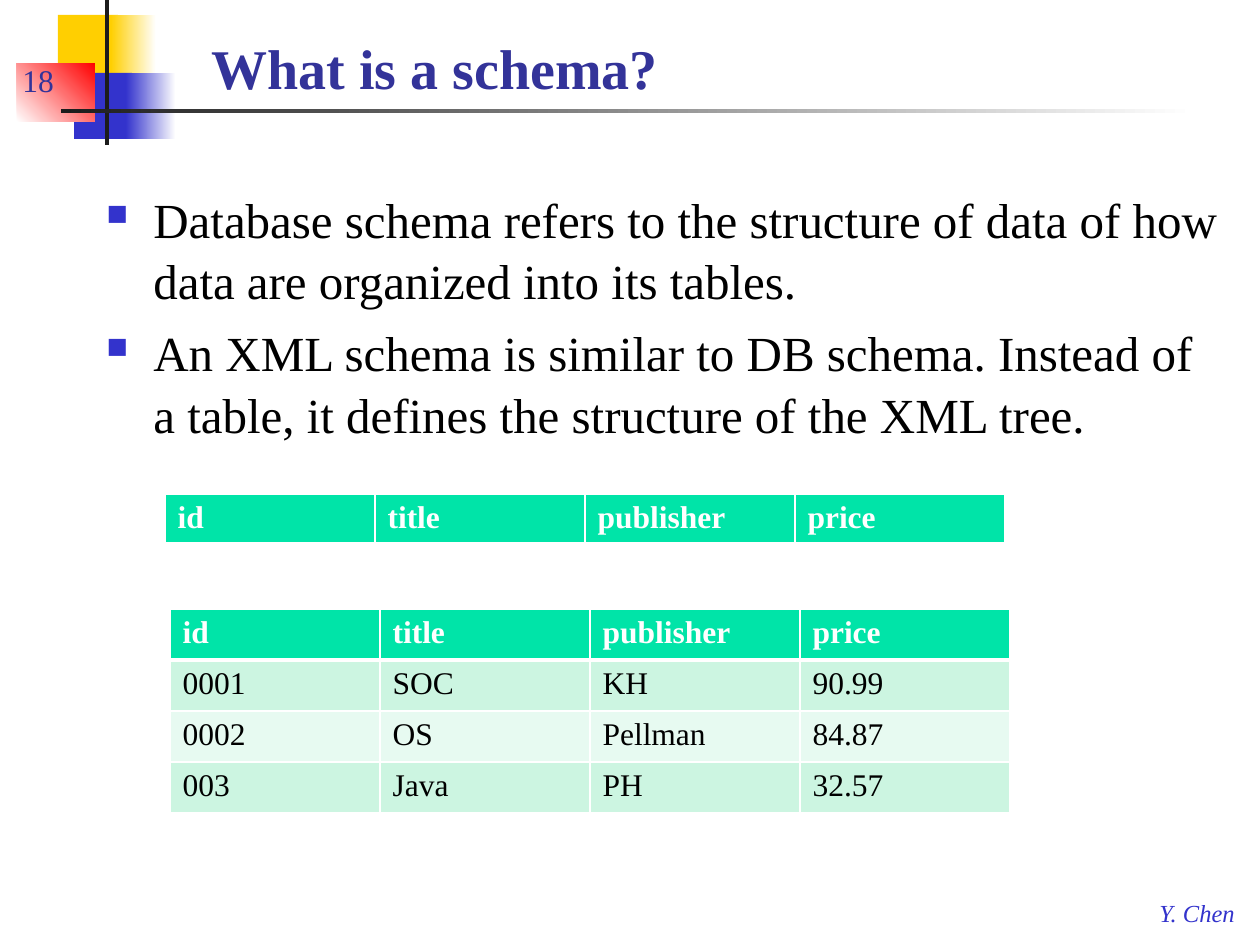
from lxml import etree
from pptx import Presentation
from pptx import util as u
from pptx.dml.color import RGBColor
from pptx.enum import shapes, text
from pptx.oxml import ns

PX = 914400 / 126
FONT = "Times New Roman"
WHITE = RGBColor(0xFF, 0xFF, 0xFF)
BLACK = RGBColor(0x00, 0x00, 0x00)
GOLD = RGBColor(0xFF, 0xCF, 0x01)
BLUE = RGBColor(0x33, 0x33, 0xCC)
NAVY = RGBColor(0x33, 0x33, 0x99)
RED = RGBColor(0xFF, 0x00, 0x00)
DARK = RGBColor(0x1C, 0x1C, 0x1C)
GREEN = RGBColor(0x00, 0xE4, 0xA8)
MINT = RGBColor(0xCC, 0xF5, 0xE1)
PALE = RGBColor(0xE7, 0xFA, 0xF1)

BLOCKS = [
    ((58, 15, 60, 66), [GOLD], 0),
    ((111, 15, 45, 66), [GOLD, WHITE], 0),
    ((74, 73, 58, 66), [BLUE], 0),
    ((126, 73, 50, 66), [BLUE, WHITE], 0),
    ((17, 63, 78, 59), [WHITE, RED], 45),
    ((105, 0, 4, 145), [DARK], 0),
    ((61, 109, 1134, 4), [DARK, WHITE], 0),
]
POINTS = [
    "Database schema refers to the structure of data of how data are organized into its tables.",
    "An XML schema is similar to DB schema. Instead of a table, it defines the structure of the XML tree.",
]
HEAD = ["id", "title", "publisher", "price"]
BOOKS = [
    ["0001", "SOC", "KH", "90.99"],
    ["0002", "OS", "Pellman", "84.87"],
    ["003", "Java", "PH", "32.57"],
]


def px(*nums):
    """Turn pixel lengths into EMU."""
    return [u.Emu(round(n * PX)) for n in nums]


def style(para, color, **form):
    """Set the font of a paragraph."""
    for key, val in {"name": FONT, **form}.items():
        setattr(para.font, key, val)
    para.font.color.rgb = color


def add_block(slide, box, hues, angle):
    """Draw a rectangle in one colour or a two-colour gradient."""
    rect = slide.shapes.add_shape(shapes.MSO_SHAPE.RECTANGLE, *px(*box))
    rect.shadow.inherit = False
    rect.line.fill.background()
    if len(hues) == 1:
        rect.fill.solid()
        rect.fill.fore_color.rgb = hues[0]
        return
    rect.fill.gradient()
    rect.fill.gradient_angle = angle
    for stop, hue in zip(rect.fill.gradient_stops, hues):
        stop.color.rgb = hue


def add_text(slide, box, lines, color, anchor="TOP", wrap=True, **form):
    """Place a text box and return its paragraphs."""
    frame = slide.shapes.add_textbox(*px(*box)).text_frame
    frame.word_wrap = wrap
    frame.vertical_anchor = getattr(text.MSO_ANCHOR, anchor)
    frame.text = "\n".join(lines)
    for para in frame.paragraphs:
        style(para, color, **form)
    return frame.paragraphs


def add_list(slide, box, lines):
    """Place a list with square bullets."""
    for i, para in enumerate(add_text(slide, box, lines, BLACK)):
        props = para._p.get_or_add_pPr()
        props.remove(props.find(ns.qn("a:defRPr"))) if props.find(ns.qn("a:defRPr")) is not None else None
        props.set("marL", str(px(47)[0]))
        props.set("indent", str(px(-47)[0]))
        hue = etree.SubElement(props, ns.qn("a:buClr"))
        etree.SubElement(hue, ns.qn("a:srgbClr"), val=str(BLUE))
        etree.SubElement(props, ns.qn("a:buSzPct"), val="60000")
        etree.SubElement(props, ns.qn("a:buChar"), char="■")
        para.line_spacing = 1.05
        if i:
            para.space_before = u.Pt(5.6)
        style(para, BLACK, size=u.Pt(28))


def add_edge(cell, side, width):
    """Draw one white border of a cell."""
    line = etree.SubElement(cell._tc.get_or_add_tcPr(), ns.qn(f"a:ln{side}"), w=str(u.Pt(width)))
    fill = etree.SubElement(line, ns.qn("a:solidFill"))
    etree.SubElement(fill, ns.qn("a:srgbClr"), val=str(WHITE))


def add_grid(slide, box, rows):
    """Draw a table with a green head and banded rows."""
    table = slide.shapes.add_table(len(rows), len(rows[0]), *px(*box)).table
    table.first_row = table.horz_banding = False
    for r, row in enumerate(rows):
        for c, word in enumerate(row):
            cell = table.cell(r, c)
            edges = {"L": 1, "R": 1, "T": 3 if r == 1 else 1, "B": 1 if r else 3}
            for side, width in edges.items():
                add_edge(cell, side, width)
            cell.fill.solid()
            cell.fill.fore_color.rgb = (MINT if r % 2 else PALE) if r else GREEN
            cell.text = word
            style(cell.text_frame.paragraphs[0], BLACK if r else WHITE, size=u.Pt(18), bold=r == 0)


def main():
    """Build the slide and save it."""
    deck = Presentation()
    deck.slide_width, deck.slide_height = px(1260, 945)
    slide = deck.slides.add_slide(deck.slide_layouts[6])
    for block in BLOCKS:
        add_block(slide, *block)
    add_text(slide, (1147, 892, 103, 42), ["Y. Chen"], BLUE, wrap=False, size=u.Pt(14), italic=True)
    add_text(slide, (199, 21, 1050, 86), ["What is a schema?"], NAVY, "BOTTOM", size=u.Pt(32), bold=True)
    add_list(slide, (94, 180, 1139, 179), POINTS)
    add_text(slide, (10, 42, 84, 63), ["18"], NAVY, "BOTTOM", size=u.Pt(18))
    add_grid(slide, (165, 494, 840, 50), [HEAD])
    add_grid(slide, (170, 609, 840, 204), [HEAD, *BOOKS])
    deck.save("out.pptx")


if __name__ == "__main__":
    main()
